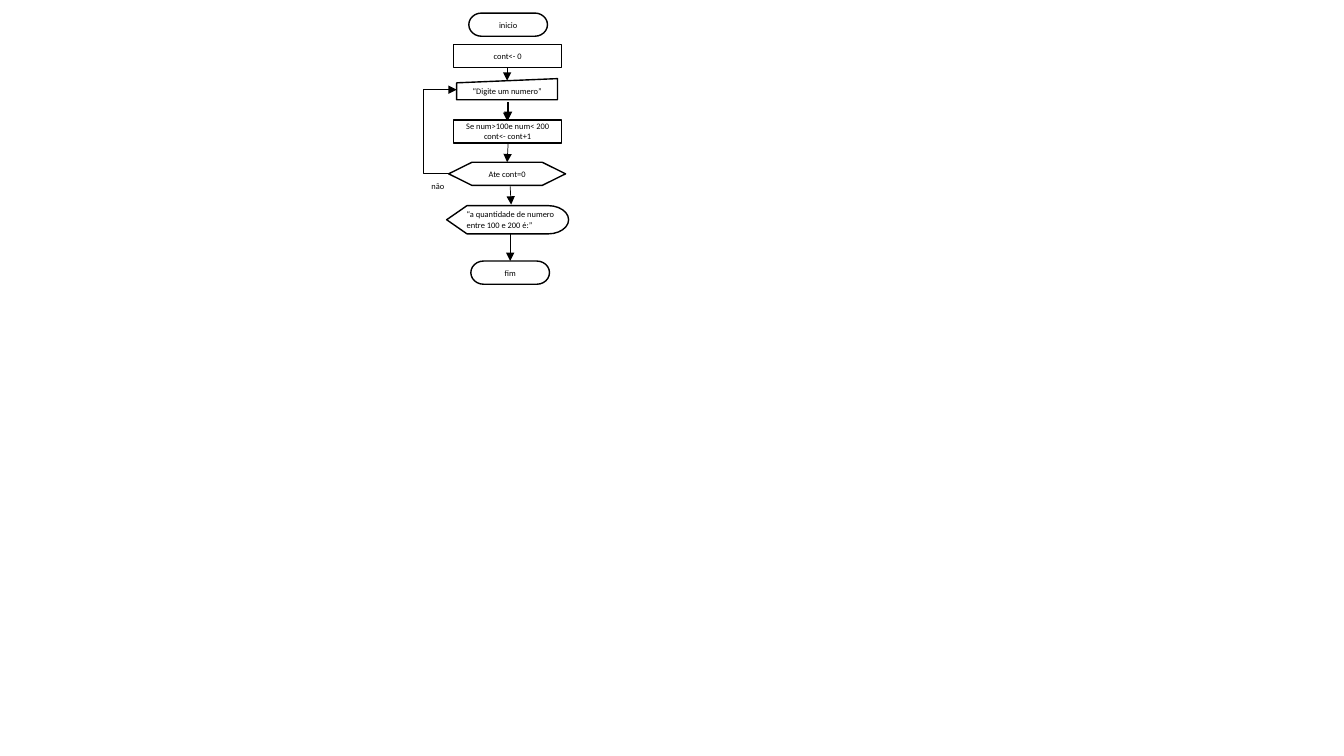
import pptx
import pptx.util
import pptx.dml.color
import pptx.enum.shapes
import pptx.enum.text
import pptx.oxml
import pptx.oxml.ns
import lxml.etree

Inches = pptx.util.Inches
SHAPE = pptx.enum.shapes.MSO_SHAPE
CONNECTOR = pptx.enum.shapes.MSO_CONNECTOR
ALIGN = pptx.enum.text.PP_ALIGN
qn = pptx.oxml.ns.qn

COLORS = {"ink": "000000", "paper": "FFFFFF"}
STEP_HEIGHT = 0.23


def rgb(name):
    return pptx.dml.color.RGBColor.from_string(COLORS[name])


def write(frame, text, align):
    frame.word_wrap = True
    frame.text = text
    paragraph = frame.paragraphs[0]
    paragraph.alignment = align
    font = paragraph.runs[0].font
    font.name = "Calibri"
    font.size = pptx.util.Pt(6)
    font.color.rgb = rgb("ink")


def add_step(slide, kind, left, top, width, height=STEP_HEIGHT, text=None):
    step = slide.shapes.add_shape(kind, Inches(left), Inches(top), Inches(width), Inches(height))
    step.shadow.inherit = False
    step.line.color.rgb = rgb("ink")
    step.line.width = pptx.util.Pt(1)
    if text is None:
        step.fill.background()
        return
    step.fill.solid()
    step.fill.fore_color.rgb = rgb("paper")
    step.text_frame.vertical_anchor = pptx.enum.text.MSO_ANCHOR.MIDDLE
    write(step.text_frame, text, ALIGN.CENTER)


def add_label(slide, left, top, width, height, text):
    label = slide.shapes.add_textbox(Inches(left), Inches(top), Inches(width), Inches(height))
    write(label.text_frame, text, ALIGN.LEFT)
    label.text_frame.auto_size = pptx.enum.text.MSO_AUTO_SIZE.SHAPE_TO_FIT_TEXT


def add_arrow(slide, x1, y1, x2, y2, kind=CONNECTOR.STRAIGHT):
    arrow = slide.shapes.add_connector(kind, Inches(x1), Inches(y1), Inches(x2), Inches(y2))
    arrow.line.color.rgb = rgb("ink")
    arrow.line.width = pptx.util.Pt(0.5)
    lxml.etree.SubElement(arrow.line._get_or_add_ln(), qn("a:tailEnd"), type="triangle")
    lxml.etree.SubElement(arrow._element.spPr, qn("a:effectLst"))
    return arrow


def add_loop(slide, x1, y1, x2, y2, bend_x):
    loop = add_arrow(slide, x1, y1, x2, y2, CONNECTOR.ELBOW)
    bend = round((bend_x - x1) / (x2 - x1) * 100000)
    guides = loop._element.spPr.find(qn("a:prstGeom")).find(qn("a:avLst"))
    lxml.etree.SubElement(guides, qn("a:gd"), name="adj1", fmla=f"val {bend}")


def main():
    deck = pptx.Presentation()
    deck.slide_width = Inches(13.33)
    deck.slide_height = Inches(7.5)
    slide = deck.slides.add_slide(deck.slide_layouts[6])

    add_step(slide, SHAPE.FLOWCHART_TERMINATOR, 4.65, 0.13, 0.78, text="inicio")
    add_step(slide, SHAPE.FLOWCHART_PROCESS, 4.5, 1.19, 1.07,
             text="Se num>100e num< 200 cont<- cont+1")
    add_step(slide, SHAPE.FLOWCHART_DISPLAY, 4.43, 2.04, 1.21, 0.28)
    add_step(slide, SHAPE.FLOWCHART_TERMINATOR, 4.67, 2.59, 0.78, text="fim")
    add_label(slide, 4.53, 2.03, 1.08, 0.3, "“a quantidade de numero entre 100 e 200 é:”")
    add_arrow(slide, 5.03, 1.01, 5.03, 1.2)
    add_arrow(slide, 5.04, 1.01, 5.04, 1.19)
    add_loop(slide, 4.45, 1.72, 4.53, 0.89, bend_x=4.2)
    add_label(slide, 4.18, 1.75, 0.35, 0.2, "não")
    add_step(slide, SHAPE.FLOWCHART_MANUAL_INPUT, 4.53, 0.78, 1, 0.21, "“Digite um numero”")
    add_step(slide, SHAPE.FLOWCHART_PROCESS, 4.5, 0.44, 1.07, text="cont<- 0")
    add_arrow(slide, 5.06, 1.85, 5.07, 2.03)
    add_arrow(slide, 5.06, 2.31, 5.06, 2.59)
    add_step(slide, SHAPE.FLOWCHART_PREPARATION, 4.45, 1.61, 1.16, text="Ate cont=0")
    add_arrow(slide, 5.04, 1.42, 5.03, 1.61)
    add_arrow(slide, 5.03, 0.67, 5.03, 0.8)

    deck.save("out.pptx")


main()
